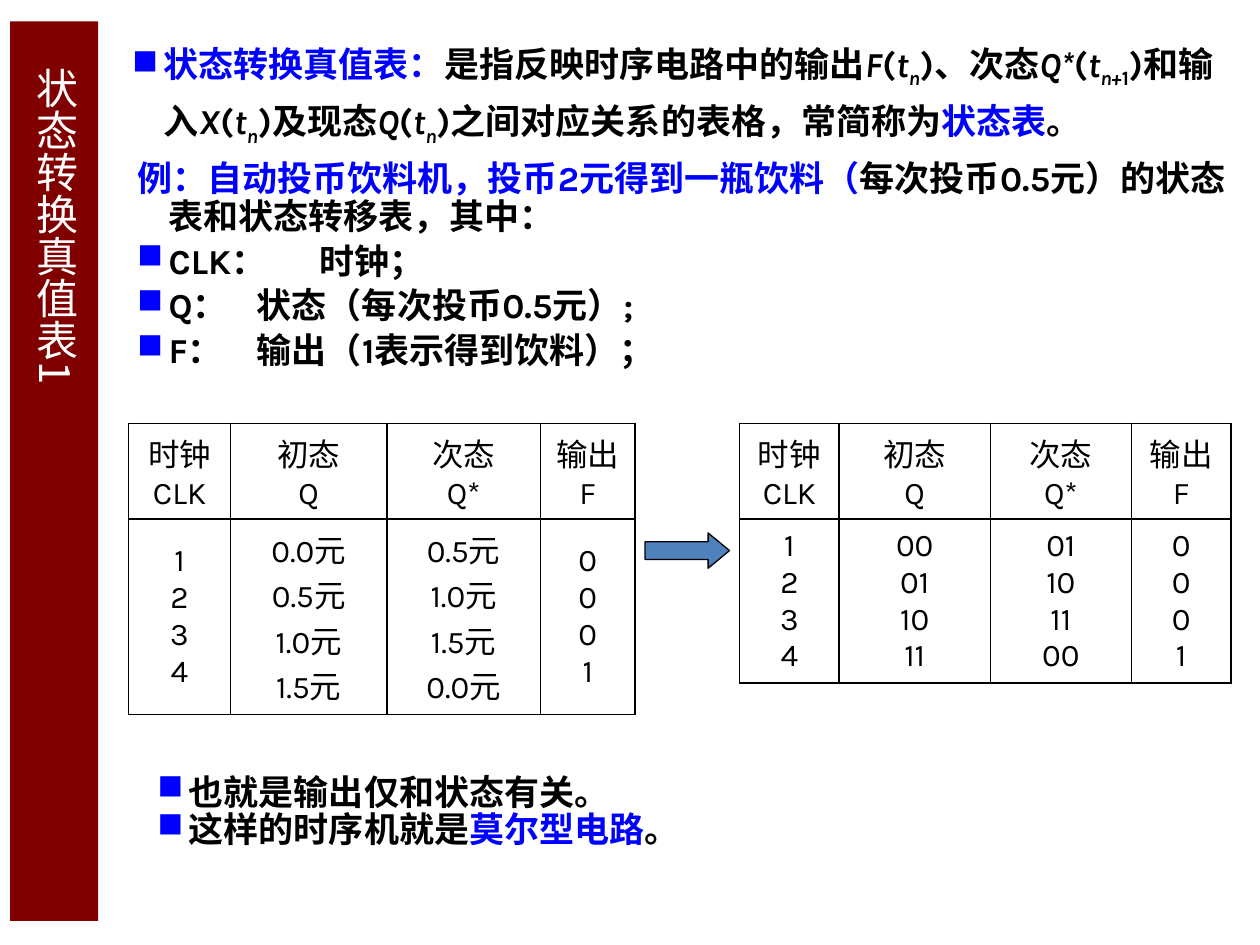
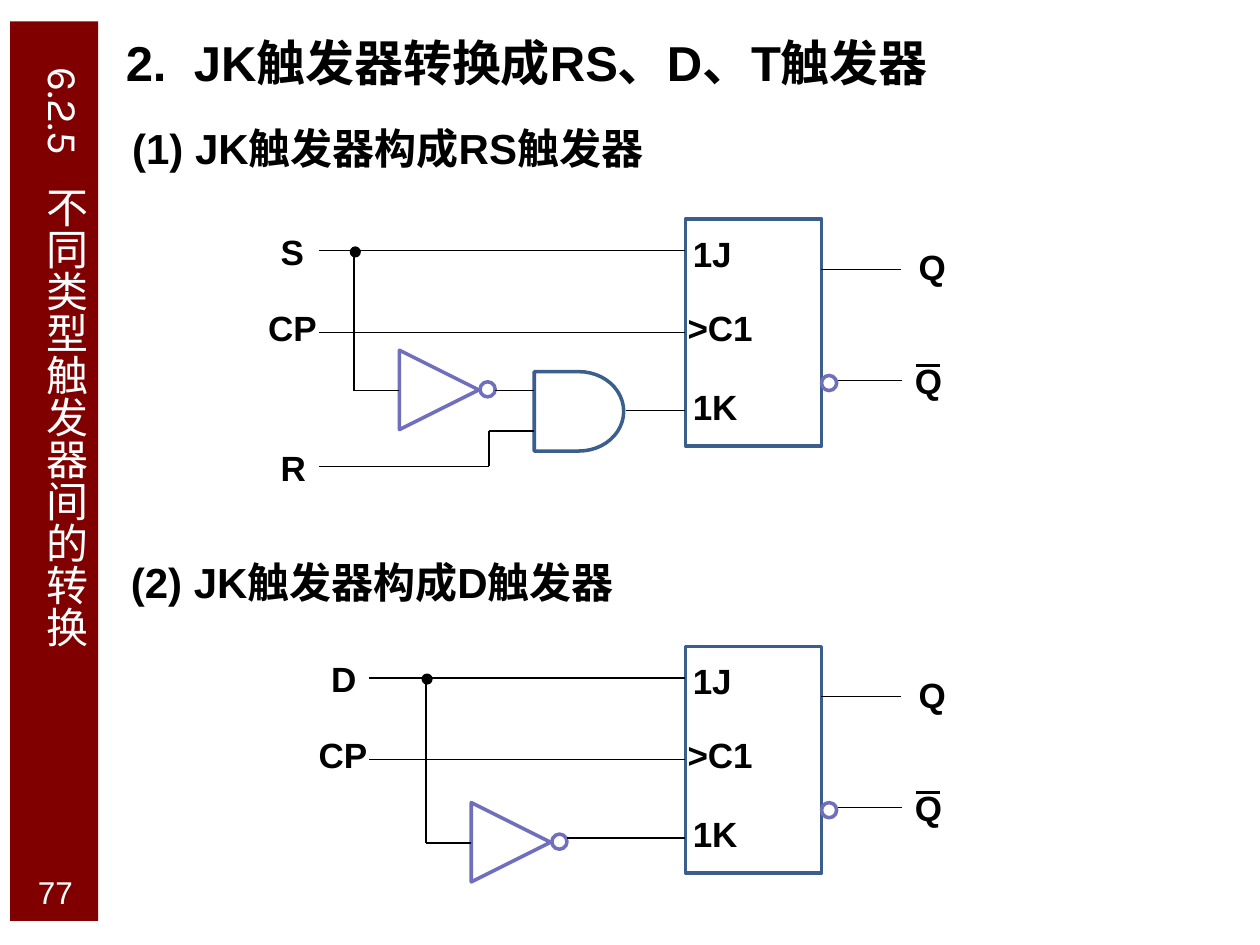
from lxml import etree
from pptx import Presentation
from pptx.dml.color import RGBColor
from pptx.enum.shapes import MSO_CONNECTOR, MSO_SHAPE as SHAPE
from pptx.enum.text import MSO_ANCHOR as ANCHOR, PP_ALIGN as ALIGN
from pptx.oxml.ns import qn
from pptx.util import Inches, Pt

COLORS = {"band": "800000", "white": "FFFFFF", "black": "000000", "blue": "0000FF",
          "arrow": "4F81BD", "block": "3A5F8C", "inverter": "6F6FBC"}
BULLET, HANGING = "■", (0.3, -0.25)
CJK = "Noto Sans CJK SC"


def write(frame, paragraphs, font, size, color="black", bold=False, align=None, spacing=None,
          before=0, indent=None, bullets=False, east_asian=None, tab=None):
    """Fill a text frame; a paragraph is a list of (text, marks) runs.

    Marks: b = blue, i = italic, s = subscript. bullets may be a list, one flag per paragraph.
    """
    frame.word_wrap = True
    for number, runs in enumerate(paragraphs):
        paragraph = frame.paragraphs[0] if number == 0 else frame.add_paragraph()
        paragraph.alignment = align
        if spacing:
            paragraph.line_spacing = spacing
        if number and before:
            paragraph.space_before = Pt(before)
        props = paragraph._p.get_or_add_pPr()
        if indent:
            props.set("marL", str(Inches(indent[0])))
            props.set("indent", str(Inches(indent[1])))
        if bullets and bullets[number]:
            tint = etree.SubElement(props, qn("a:buClr"))
            etree.SubElement(tint, qn("a:srgbClr"), val=COLORS["blue"])
            etree.SubElement(props, qn("a:buChar"), char=BULLET)
        if tab:
            stops = etree.SubElement(props, qn("a:tabLst"))
            etree.SubElement(stops, qn("a:tab"), pos=str(Inches(tab)), algn="l")
        for text, marks in runs:
            run = paragraph.add_run()
            run.text = text
            run.font.name, run.font.size, run.font.bold = font, Pt(size), bold
            run.font.italic = "i" in marks
            run.font.color.rgb = RGBColor.from_string(COLORS["blue" if "b" in marks else color])
            run_props = run._r.get_or_add_rPr()
            if "s" in marks:
                run_props.set("baseline", "-25000")
            etree.SubElement(run_props, qn("a:ea"), typeface=east_asian or font)


def wire(slide, x1, y1, x2, y2, width=0.75):
    line = slide.shapes.add_connector(MSO_CONNECTOR.STRAIGHT, Inches(x1), Inches(y1),
                                      Inches(x2), Inches(y2))
    line.line.color.rgb = RGBColor.from_string(COLORS["black"])
    line.line.width = Pt(width)
    etree.SubElement(line._element.spPr, qn("a:effectLst"))
    return line


prs = Presentation()
prs.slide_width, prs.slide_height = Inches(10), Inches(7.5)

# Side band and vertical title on both slides
slides = []
for title, title_font, anchor in [("状态转换真值表1", CJK, ANCHOR.MIDDLE),
                                  ("6.2.5\t不同类型触发器间的转换", "Karla", ANCHOR.TOP)]:
    slide = prs.slides.add_slide(prs.slide_layouts[6])
    band = slide.shapes.add_shape(SHAPE.RECTANGLE, Inches(0.08), Inches(0.17),
                                  Inches(0.7), Inches(7.14))
    band.shadow.inherit = False
    band.fill.solid()
    band.fill.fore_color.rgb = RGBColor.from_string(COLORS["band"])
    band.line.fill.background()
    side_title = slide.shapes.add_textbox(Inches(0.12), Inches(0.44),
                                          Inches(0.65), Inches(6.72)).text_frame
    write(side_title, [[(title, "")]], title_font, 24, "white", tab=0.94)
    side_title.vertical_anchor = anchor
    side_title._txBody.bodyPr.set("vert", "eaVert")
    slides.append(slide)
state_slide, circuit_slide = slides

# Slide 1: definition, example and conclusion
definition = [[
    ("状态转换真值表：", "b"), ("是指反映时序电路中的输出", ""),
    ("F", "i"), ("(", ""), ("t", "i"), ("n", "is"), (")、次态", ""),
    ("Q*", "i"), ("(", ""), ("t", "i"), ("n+", "is"), ("1", "s"), (")和输入", ""),
    ("X", "i"), ("(", ""), ("t", "i"), ("n", "is"), (")及现态", ""),
    ("Q", "i"), ("(", ""), ("t", "i"), ("n", "is"), (")之间对应关系的表格，常简称为", ""),
    ("状态表", "b"), ("。", "")]]
example = [
    [("例：自动投币饮料机，投币2元得到一瓶饮料（", "b"),
     ("每次投币0.5元）的状态表和状态转移表，其中：", "")],
    [("CLK：\t时钟；", "")],
    [("Q：\t状态（每次投币0.5元）;", "")],
    [("F：\t输出（1表示得到饮料）；", "")]]
conclusion = [
    [("也就是输出仅和状态有关。", "")],
    [("这样的时序机就是", ""), ("莫尔型电路", "b"), ("。", "")]]
for place, content, font, spacing, before, bullets in [
        ((0.9, 0.21, 8.86, 0.94), definition, "Karla", 1.2, 0, [True]),
        ((0.94, 1.23, 9.06, 1.65), example, "Karla", 0.9, 4, [False, True, True, True]),
        ((1.1, 6.1, 7.18, 0.83), conclusion, CJK, 0.9, 0, [True, True])]:
    box = state_slide.shapes.add_textbox(*map(Inches, place))
    write(box.text_frame, content, font, 20, bold=True, spacing=spacing, before=before,
          indent=HANGING, bullets=bullets)

# Slide 1: state table and its binary coding
headers = [["时钟", "CLK"], ["初态", "Q"], ["次态", "Q*"], ["输出F"]]
clocks, outputs = list("1234"), list("0001")
state_tables = [
    (1.02, [0.81, 1.24, 1.22, 0.75], 1.55,
     ["0.0元", "0.5元", "1.0元", "1.5元"]),
    (5.87, [0.79, 1.2, 1.12, 0.79], 1.27,
     ["00", "01", "10", "11"])]
for left, widths, body_height, states in state_tables:
    next_states = states[1:] + states[:1]
    rows = [headers, [clocks, states, next_states, outputs]]
    heights = [0.76, body_height]
    table = state_slide.shapes.add_table(2, 4, Inches(left), Inches(3.36), Inches(sum(widths)),
                                         Inches(sum(heights))).table
    table.first_row = table.horz_banding = False
    for column, width in zip(table.columns, widths):
        column.width = Inches(width)
    for r, row in enumerate(rows):
        table.rows[r].height = Inches(heights[r])
        for c, lines in enumerate(row):
            cell = table.cell(r, c)
            cell.fill.background()
            cell.vertical_anchor = ANCHOR.MIDDLE
            write(cell.text_frame, [[(line, "")] for line in lines], "Karla", 18,
                  align=ALIGN.CENTER, east_asian=CJK)
            cell_props = cell._tc.get_or_add_tcPr()
            for position, side in enumerate(["lnL", "lnR", "lnT", "lnB"]):
                border = etree.Element(qn(f"a:{side}"), w=str(Pt(1)))
                fill = etree.SubElement(border, qn("a:solidFill"))
                etree.SubElement(fill, qn("a:srgbClr"), val=COLORS["black"])
                cell_props.insert(position, border)

coding_arrow = state_slide.shapes.add_shape(SHAPE.RIGHT_ARROW, Inches(5.12), Inches(4.23),
                                            Inches(0.67), Inches(0.28))
coding_arrow.shadow.inherit = False
coding_arrow.adjustments[1] = 0.605
coding_arrow.fill.solid()
coding_arrow.fill.fore_color.rgb = RGBColor.from_string(COLORS["arrow"])
coding_arrow.line.color.rgb = RGBColor.from_string(COLORS["black"])
coding_arrow.line.width = Pt(0.75)

# Slide 2: page number and headings
page_number = circuit_slide.shapes.add_textbox(Inches(0.12), Inches(6.9),
                                               Inches(0.64), Inches(0.35)).text_frame
page_number.vertical_anchor = ANCHOR.MIDDLE
write(page_number, [[("77", "")]], "Arial", 18, "white", align=ALIGN.CENTER)
for place, heading, size, tab in [
        ((0.9, 0.26, 9.1, 0.53), "2.\tJK触发器转换成RS、D、T触发器", 28, 0.54),
        ((0.95, 0.95, 8.63, 0.5), "(1) JK触发器构成RS触发器", 24, None),
        ((0.94, 4.39, 8.63, 0.5), "(2) JK触发器构成D触发器", 24, None)]:
    frame = circuit_slide.shapes.add_textbox(*map(Inches, place)).text_frame
    frame.vertical_anchor = ANCHOR.MIDDLE
    write(frame, [[(heading, "")]], "Arial", size, bold=True, spacing=0.9, tab=tab)

# Slide 2: both circuits share the flip-flop; heights are those of the upper circuit
J_PIN, CLOCK_PIN, K_PIN, Q_PIN, NOT_Q_PIN = 1.99, 2.64, 3.26, 2.14, 3.02
BLOCK_LEFT, BLOCK_RIGHT = 5.44, 6.52
# drop, input name, wire start, branch point, inverter height, K wire start
circuits = [(0, "S", 2.53, 2.81, 3.1, 4.97), (3.39, "D", 2.93, 3.38, 3.3, 4.5)]
for drop, input_name, start, branch, inverter_y, k_start in circuits:
    has_gate = input_name == "S"

    parts = [
        (SHAPE.RECTANGLE, BLOCK_LEFT, 1.74, 1.08, 1.8, "block", 0),
        (SHAPE.OVAL, BLOCK_RIGHT, 2.98, 0.12, 0.12, "inverter", 0),
        (SHAPE.OVAL, branch + 1, inverter_y - 0.07, 0.12, 0.12, "inverter", 0),
        (SHAPE.ISOSCELES_TRIANGLE, branch + 0.36, inverter_y - 0.32, 0.63, 0.63, "inverter", 90),
        (SHAPE.OVAL, branch - 0.02, J_PIN - 0.02, 0.06, 0.06, "black", 0)]
    if has_gate:
        parts.append((SHAPE.FLOWCHART_DELAY, 4.24, 2.95, 0.71, 0.63, "block", 0))
    drawn = []
    for kind, x, y, width, height, color, turn in parts:
        part = circuit_slide.shapes.add_shape(kind, Inches(x), Inches(y + drop),
                                              Inches(width), Inches(height))
        part.shadow.inherit = False
        part.rotation = turn
        part.line.color.rgb = RGBColor.from_string(COLORS[color])
        part.line.width = Pt(2)
        if color == "black":
            part.fill.solid()
            part.fill.fore_color.rgb = RGBColor.from_string(COLORS[color])
        else:
            part.fill.background()
        drawn.append(part)
    flip_flop = drawn[0]

    clock_wire = wire(circuit_slide, start, CLOCK_PIN + drop, BLOCK_LEFT, CLOCK_PIN + drop)
    clock_wire.end_connect(flip_flop, 1)
    wires = [
        (start, J_PIN, BLOCK_LEFT, J_PIN),
        (k_start, K_PIN, BLOCK_LEFT, K_PIN),
        (BLOCK_RIGHT, Q_PIN, 7.15, Q_PIN),
        (6.65, NOT_Q_PIN, 7.16, NOT_Q_PIN),
        (branch, J_PIN, branch, inverter_y),
        (branch, inverter_y, branch + 0.36, inverter_y)]
    if has_gate:
        wires += [(3.93, inverter_y, 4.24, inverter_y), (start, 3.7, 3.88, 3.7),
                  (3.88, 3.7, 3.88, 3.42), (3.88, 3.42, 4.24, 3.42)]
    for x1, y1, x2, y2 in wires:
        wire(circuit_slide, x1, y1 + drop, x2, y2 + drop)
    wire(circuit_slide, 7.27, 2.9 + drop, 7.46, 2.9 + drop, width=1.5)

    labels = [("1J", 5.4, 1.83), (">", 5.36, 2.42), ("C1", 5.52, 2.42), ("1K", 5.4, 3.05),
              ("Q", 7.08, 1.94), ("Q", 7.05, 2.84),
              (input_name, start - 0.4, 1.82), ("CP", start - 0.5, 2.42)]
    if has_gate:
        labels.append(("R", start - 0.4, 3.53))
    for label, x, y in labels:
        frame = circuit_slide.shapes.add_textbox(Inches(x), Inches(y + drop),
                                                 Inches(0.64), Inches(0.4)).text_frame
        frame.vertical_anchor = ANCHOR.MIDDLE
        write(frame, [[(label, "")]], "Arial", 20, bold=True, spacing=0.9,
              align=ALIGN.CENTER if label == "Q" else None)

prs.save("out.pptx")
